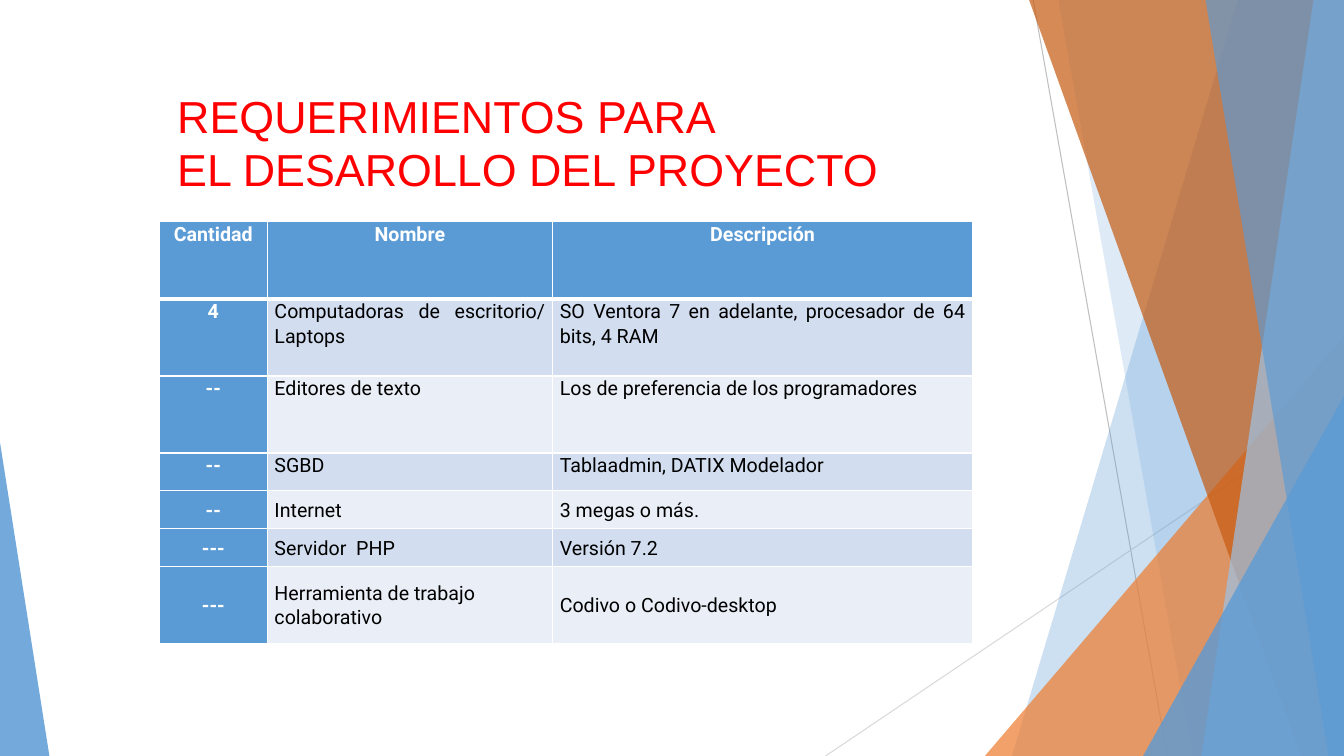
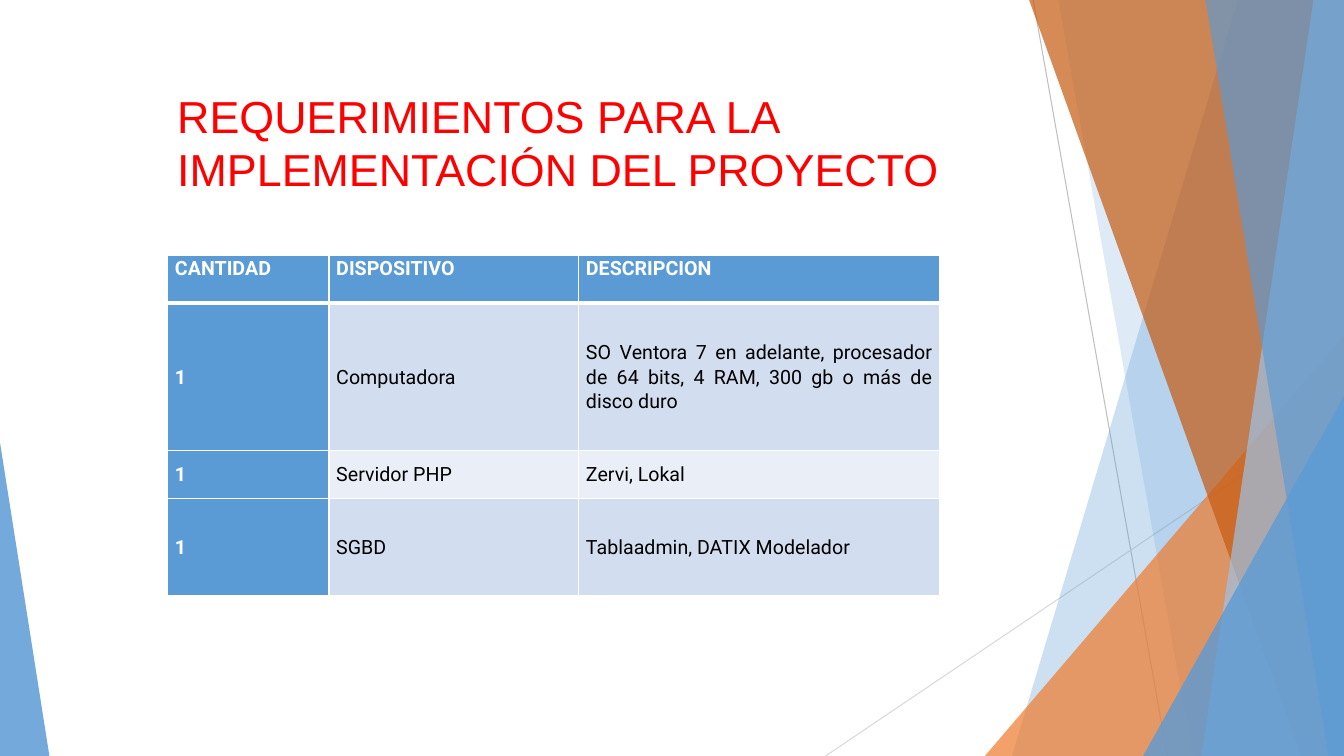
from lxml import etree
from pptx import Presentation
from pptx.dml.color import RGBColor
from pptx.enum.shapes import MSO_CONNECTOR, MSO_SHAPE
from pptx.enum.text import MSO_ANCHOR, PP_ALIGN
from pptx.oxml.ns import qn
from pptx.util import Pt

STRAIGHT = MSO_CONNECTOR.STRAIGHT
TRIANGLE = MSO_SHAPE.ISOSCELES_TRIANGLE
TOP, MIDDLE = MSO_ANCHOR.TOP, MSO_ANCHOR.MIDDLE
LEFT, CENTER, JUSTIFY = PP_ALIGN.LEFT, PP_ALIGN.CENTER, PP_ALIGN.JUSTIFY

WIDTH, HEIGHT = 960, 540
BLUE, ORANGE, RUST, SKY = "5B9BD5", "ED7D31", "C55A11", "9DC3E6"
WHITE, BLACK, RED = "FFFFFF", "000000", "FF0000"
STRIPES = "D2DEEF", "EAEFF7"

# Decoration: thin lines as (start x, start y, end x, end y, colour)
THIN_LINES = [
    (738, 0, 833.8, HEIGHT, "BFBFBF"),
    (WIDTH, 290.2, 589.7, HEIGHT, "D9D9D9"),
]
# A band reaches the right edge: ("band", x at top, x at bottom, colour, opacity %)
# A triangle stands on the bottom: ("triangle", (left, top, width, apex), colour, opacity %)
FACETS = [
    ("band", (884.2, 722.9), BLUE, 30),
    ("band", (756, 851.8), BLUE, 20),
    ("triangle", (703.5, 239.8, 256.5, 1), ORANGE, 72),
    ("band", (735.1, 929.5), RUST, 70),
    ("band", (938.2, 858.2), SKY, 70),
    ("band", (861.1, 949), BLUE, 65),
    ("triangle", (816.5, 283, 143.5, 1), BLUE, 80),
    ("triangle", (0, 316.1, 35.3, 0), BLUE, 85),
]

# Each row: height, anchor, alignment after the first column, texts
PAGES = [
    {
        "title": "REQUERIMIENTOS PARA\nEL DESAROLLO DEL PROYECTO",
        "place": (113.9, 158.4),
        "columns": (77, 203.8, 300.2),
        "first_align": CENTER,
        "rows": [
            (55.1, TOP, CENTER, ("Cantidad", "Nombre", "Descripción")),
            (55.1, TOP, JUSTIFY, ("4", "Computadoras de escritorio/ Laptops",
                                  "SO Ventora 7 en adelante, procesador de 64 bits, 4 RAM")),
            (55.1, TOP, JUSTIFY, ("--", "Editores de texto",
                                  "Los de preferencia de los programadores")),
            (27, TOP, JUSTIFY, ("--", "SGBD", "Tablaadmin, DATIX Modelador")),
            (27, MIDDLE, LEFT, ("--", "Internet", "3 megas o más.")),
            (27, MIDDLE, LEFT, ("---", "Servidor  PHP", "Versión 7.2")),
            (55.1, MIDDLE, LEFT, ("---", "Herramienta de trabajo colaborativo",
                                  "Codivo o Codivo-desktop")),
        ],
    },
    {
        "title": "REQUERIMIENTOS PARA LA IMPLEMENTACIÓN DEL PROYECTO",
        "place": (119.8, 182.6),
        "columns": (115.2, 178.4, 257.8),
        "first_align": JUSTIFY,
        "rows": [
            (33.8, TOP, JUSTIFY, ("CANTIDAD", "DISPOSITIVO", "DESCRIPCION")),
            (105.3, MIDDLE, JUSTIFY, ("1", "Computadora",
                                      "SO Ventora 7 en adelante, procesador de 64 bits, "
                                      "4 RAM, 300 gb o más de disco duro")),
            (34.2, MIDDLE, JUSTIFY, ("1", "Servidor PHP", "Zervi, Lokal")),
            (69.8, MIDDLE, JUSTIFY, ("1", "SGBD", "Tablaadmin, DATIX Modelador")),
        ],
    },
]


def color(value):
    return RGBColor.from_string(value)


def add_border(cell, side, width):
    properties = cell._tc.get_or_add_tcPr()
    line = etree.SubElement(properties, qn("a:" + side), w=str(Pt(width)))
    fill = etree.SubElement(line, qn("a:solidFill"))
    etree.SubElement(fill, qn("a:srgbClr"), val=WHITE)


deck = Presentation()
deck.slide_width, deck.slide_height = Pt(WIDTH), Pt(HEIGHT)

for content in PAGES:
    page = deck.slides.add_slide(deck.slide_layouts[6])

    # Thin lines
    for *ends, shade in THIN_LINES:
        line = page.shapes.add_connector(STRAIGHT, *[Pt(end) for end in ends])
        line.line.color.rgb = color(shade)
        line.line.width = Pt(0.75)
        etree.SubElement(line.element.spPr, qn("a:effectLst"))

    # Translucent facets
    for kind, geometry, shade, opacity in FACETS:
        if kind == "band":
            top_x, bottom_x = geometry
            outline = page.shapes.build_freeform(Pt(top_x), 0)
            corners = [(WIDTH, 0), (WIDTH, HEIGHT), (bottom_x, HEIGHT)]
            outline.add_line_segments([(Pt(x), Pt(y)) for x, y in corners])
            facet = outline.convert_to_shape()
        else:
            left, top, width, apex = geometry
            facet = page.shapes.add_shape(
                TRIANGLE, Pt(left), Pt(top), Pt(width), Pt(HEIGHT - top))
            facet.adjustments[0] = apex
        facet.shadow.inherit = False
        facet.line.fill.background()
        facet.fill.solid()
        facet.fill.fore_color.rgb = color(shade)
        tint = facet.element.spPr.find(".//" + qn("a:srgbClr"))
        etree.SubElement(tint, qn("a:alpha"), val=str(opacity * 1000))

    # Table
    rows, columns = content["rows"], content["columns"]
    left, top = content["place"]
    table = page.shapes.add_table(
        len(rows), len(columns), Pt(left), Pt(top),
        Pt(sum(columns)), Pt(sum(row[0] for row in rows))).table
    for column, width in zip(table.columns, columns):
        column.width = Pt(width)
    for row_index, (height, anchor, align, texts) in enumerate(rows):
        table.rows[row_index].height = Pt(height)
        for column_index, text in enumerate(texts):
            cell = table.cell(row_index, column_index)
            heading = row_index == 0 or column_index == 0
            for side in ("lnL", "lnR", "lnT", "lnB"):
                header_rule = (row_index, side) in ((0, "lnB"), (1, "lnT"))
                add_border(cell, side, 3 if header_rule else 1)
            cell.fill.solid()
            cell.fill.fore_color.rgb = color(BLUE if heading else STRIPES[(row_index - 1) % 2])
            cell.vertical_anchor = anchor
            cell.margin_left = cell.margin_right = Pt(5.2)
            cell.margin_top = cell.margin_bottom = 0
            cell.text = text
            para = cell.text_frame.paragraphs[0]
            para.alignment = content["first_align"] if column_index == 0 else align
            para.line_spacing = 1.07
            para.space_after = Pt(8)
            para.font.name = "Roboto"
            para.font.size = Pt(14)
            para.font.bold = heading
            para.font.color.rgb = color(WHITE if heading else BLACK)

    # Title
    box = page.shapes.add_textbox(Pt(119.5), Pt(59), Pt(610.6), Pt(85))
    frame = box.text_frame
    frame.word_wrap = True
    frame.vertical_anchor = MIDDLE
    frame.text = content["title"]
    for para in frame.paragraphs:
        para.font.name = "Arial"
        para.font.size = Pt(32)
        para.font.color.rgb = color(RED)

deck.save("out.pptx")
